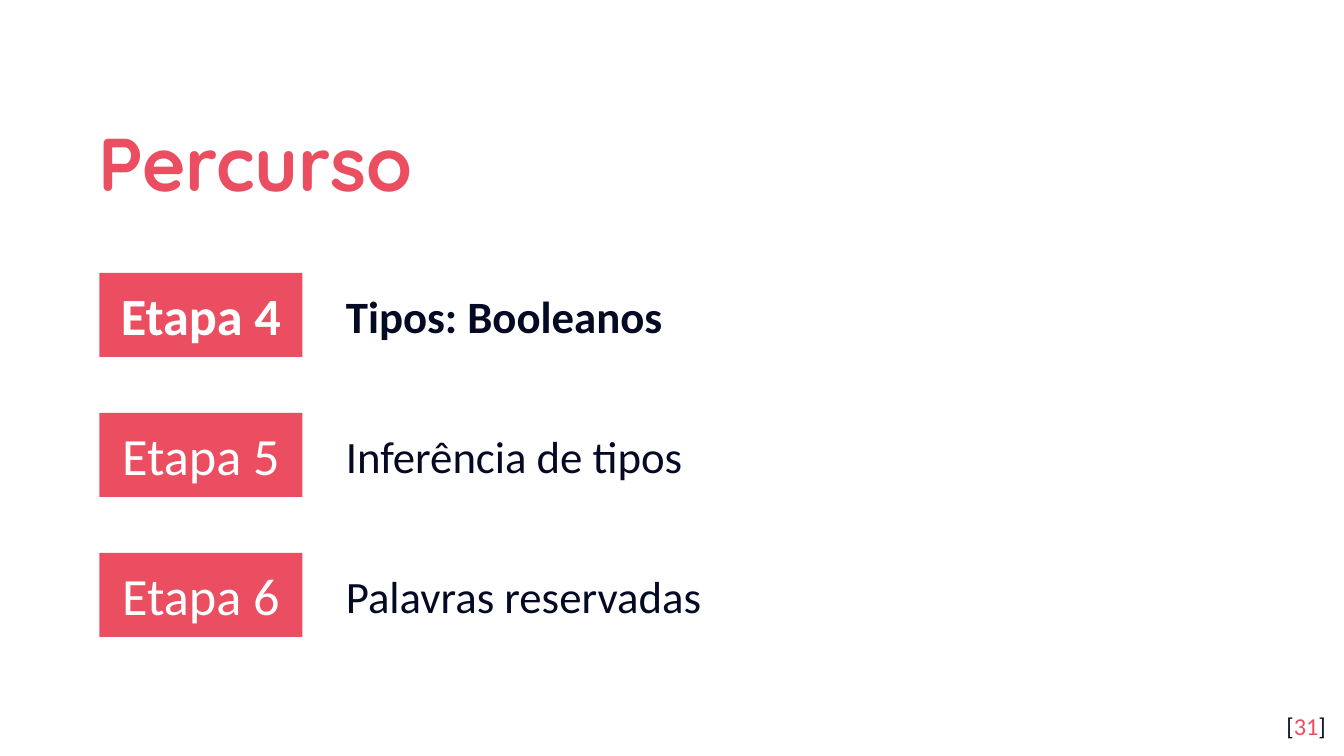
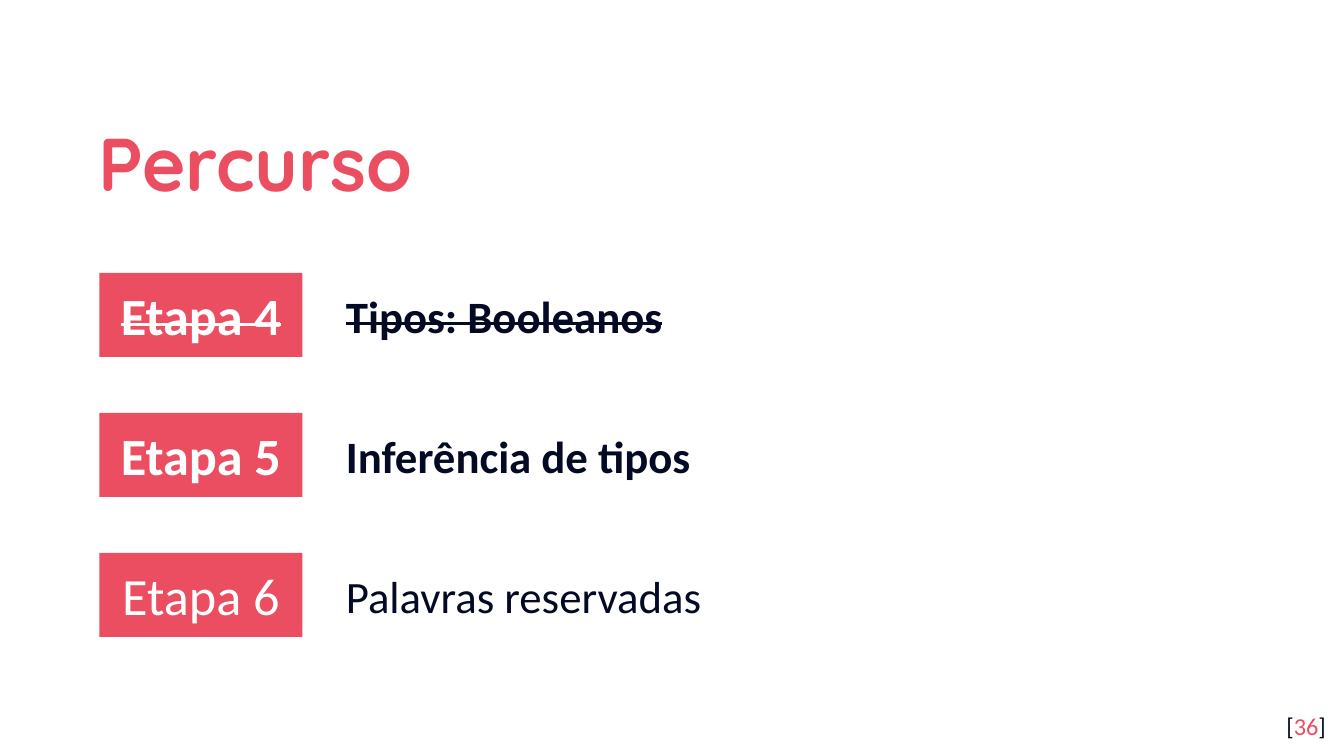
from pptx import Presentation
from pptx import util as u
from pptx.dml.color import RGBColor
from pptx.enum import shapes, text

CORAL = RGBColor(0xEA, 0x4E, 0x60)
NAVY = RGBColor(0x04, 0x0A, 0x24)
WHITE = RGBColor(0xFF, 0xFF, 0xFF)
TITLE_FONT, BODY_FONT = "Quicksand", "Calibri"
PX = 9525  # EMU per px, 96 px to the inch

STAGES = [
    ("Etapa 4", "Tipos: Booleanos"),
    ("Etapa 5", "Inferência de tipos"),
    ("Etapa 6", "Palavras reservadas"),
]
FIRST_TOP, STAGE_STEP = 195, 100


class Deck:
    def __init__(self):
        self.prs = Presentation()
        self.prs.slide_width, self.prs.slide_height = 960 * PX, 540 * PX
        self.slide = None

    def new_slide(self):
        self.slide = self.prs.slides.add_slide(self.prs.slide_layouts[5])
        fill = self.slide.background.fill
        fill.solid()
        fill.fore_color.rgb = WHITE

    def frame(self, shape, pad_y=10, anchor=text.MSO_ANCHOR.TOP):
        frame = shape.text_frame
        frame.word_wrap = True
        frame.auto_size = text.MSO_AUTO_SIZE.NONE
        frame.vertical_anchor = anchor
        frame.margin_left = frame.margin_right = 10 * PX
        frame.margin_top = frame.margin_bottom = pad_y * PX
        return frame

    def style(self, run, size, color, bold=False, struck=False, font=BODY_FONT):
        run.font.name = font
        run.font.size = u.Pt(size)
        run.font.bold = bold
        run.font.color.rgb = color
        if struck:
            run.font._element.set("strike", "sngStrike")

    def textbox(self, x, y, w, h):
        return self.slide.shapes.add_textbox(x * PX, y * PX, w * PX, h * PX)

    def title(self, words):
        title = self.slide.shapes.title
        title.left, title.top = 60 * PX, 67 * PX
        title.width, title.height = 778 * PX, 88 * PX
        frame = self.frame(title, anchor=text.MSO_ANCHOR.MIDDLE)
        frame.text = words
        heading = frame.paragraphs[0]
        heading.alignment = text.PP_ALIGN.LEFT
        heading.line_spacing = 1.15
        self.style(heading.runs[0], 40, CORAL, bold=True, font=TITLE_FONT)

    def stage_tag(self, words, y, bold, struck):
        tag = self.slide.shapes.add_shape(
            shapes.MSO_SHAPE.RECTANGLE, 71 * PX, y * PX, 145 * PX, 60 * PX)
        tag.shadow.inherit = False
        tag.fill.solid()
        tag.fill.fore_color.rgb = CORAL
        tag.line.fill.background()
        frame = self.frame(tag, anchor=text.MSO_ANCHOR.MIDDLE)
        frame.text = words
        label = frame.paragraphs[0]
        label.alignment = text.PP_ALIGN.CENTER
        self.style(label.runs[0], 28, WHITE, bold, struck)

    def stage_topic(self, words, y, bold, struck):
        frame = self.frame(self.textbox(237, y, 648, 48), pad_y=5)
        frame.text = words
        topic = frame.paragraphs[0]
        # Hanging indent of half an inch
        indent = topic._p.get_or_add_pPr()
        indent.set("marL", str(48 * PX))
        indent.set("indent", str(-48 * PX))
        self.style(topic.runs[0], 24, NAVY, bold, struck)

    def page_number(self, number):
        frame = self.frame(self.textbox(899, 498, 58, 41))
        line = frame.paragraphs[0]
        line.alignment = text.PP_ALIGN.RIGHT
        for part, color in (("[", NAVY), (str(number), CORAL), ("]", NAVY)):
            run = line.add_run()
            run.text = part
            self.style(run, 13, color)


def add_path_slide(deck, current, page):
    """Stages before the current one are struck out; the current one is bold."""
    deck.new_slide()
    deck.title("Percurso")
    for index, (stage, topic) in enumerate(STAGES):
        y = FIRST_TOP + index * STAGE_STEP
        bold, struck = index <= current, index < current
        deck.stage_tag(stage, y, bold, struck)
        deck.stage_topic(topic, y + 6, bold, struck)
    deck.page_number(page)


def main():
    deck = Deck()
    # Booleans come next
    add_path_slide(deck, current=0, page=31)
    # Booleans done, type inference comes next
    add_path_slide(deck, current=1, page=36)
    deck.prs.save("out.pptx")


if __name__ == "__main__":
    main()
